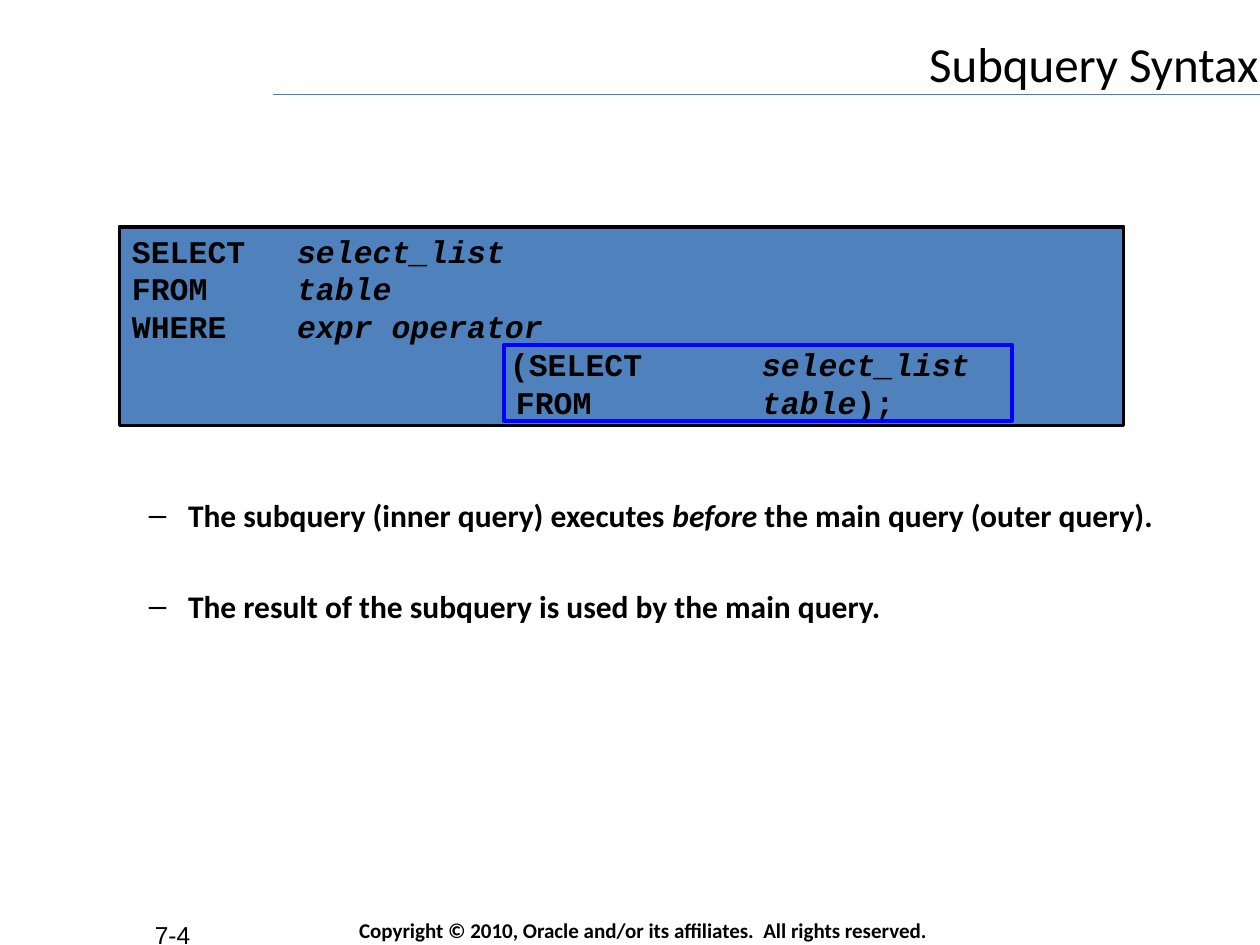
from lxml import etree
from pptx import Presentation
from pptx import util as u
from pptx.dml.color import RGBColor
from pptx.enum import shapes, text
from pptx.oxml.ns import qn

COLORS = {"ink": "000000", "paper": "FFFFFF", "panel": "4F81BD",
          "rule": "4A7EBB", "highlight": "0000FF"}
CODE_TABS = (3.33, 7.62, 12.7)
INNER_FROM_TABS = (3.33, 7.74, 12.7)


class SlideBuilder:
    fonts = {
        "title": {"name": "Calibri", "size": u.Pt(28), "bold": False},
        "body": {"name": "Calibri", "size": u.Pt(18), "bold": True},
        "code": {"name": "Courier New", "size": u.Pt(18), "bold": True},
        "footer": {"name": "Calibri", "size": u.Pt(12), "bold": True},
        "number": {"name": "Arial", "size": u.Pt(14), "bold": False},
    }

    def __init__(self, presentation):
        self.slide = presentation.slides.add_slide(presentation.slide_layouts[1])

    def color(self, name):
        return RGBColor.from_string(COLORS[name])

    def apply(self, target, values):
        for name, value in values.items():
            setattr(target, name, value)

    def place(self, shape, left, top, width, height):
        self.apply(shape, {"left": u.Cm(left), "top": u.Cm(top),
                           "width": u.Cm(width), "height": u.Cm(height)})

    def frame(self, shape, margins=(0.25, 0.13), anchor="TOP", wrap=True):
        horizontal, vertical = (u.Cm(margin) for margin in margins)
        self.apply(shape.text_frame, {
            "margin_left": horizontal, "margin_right": horizontal,
            "margin_top": vertical, "margin_bottom": vertical,
            "auto_size": text.MSO_AUTO_SIZE.NONE, "word_wrap": wrap,
            "vertical_anchor": getattr(text.MSO_ANCHOR, anchor)})
        return shape.text_frame

    def paragraph(self, frame, index, runs, style, align="LEFT", before=0):
        """Write one paragraph; runs alternate between upright and italic."""
        paragraph = frame.add_paragraph() if index else frame.paragraphs[0]
        paragraph.alignment = getattr(text.PP_ALIGN, align)
        paragraph.space_before = u.Pt(before if index else 0)
        for position, words in enumerate(runs):
            run = paragraph.add_run()
            run.text = words
            self.apply(run.font, self.fonts[style])
            run.font.italic = position % 2 == 1
            run.font.color.rgb = self.color("ink")
        return paragraph

    def title(self, words, *box):
        shape = self.slide.shapes.title
        self.place(shape, *box)
        self.fill(shape, "paper")
        self.paragraph(self.frame(shape, (0.03, 0.03)), 0, [words], "title", "RIGHT")

    def bullets(self, items, *box):
        shape = self.slide.placeholders[1]
        self.place(shape, *box)
        self.fill(shape, "paper")
        frame = self.frame(shape, (0.03, 0.03))
        for index, runs in enumerate(items):
            paragraph = self.paragraph(frame, index, runs, "body", before=30.5)
            paragraph.level = 1
            properties = paragraph._p.get_or_add_pPr()
            properties.set("marL", str(u.Cm(2.06)))
            properties.set("indent", str(-u.Cm(0.79)))
            bullet_color = etree.SubElement(properties, qn("a:buClr"))
            etree.SubElement(bullet_color, qn("a:srgbClr"), val=COLORS["ink"])
            etree.SubElement(properties, qn("a:buChar"), char="–")

    def fill(self, shape, name):
        shape.fill.solid()
        shape.fill.fore_color.rgb = self.color(name)

    def rectangle(self, *box, line, fill=None):
        shape = self.slide.shapes.add_shape(
            shapes.MSO_SHAPE.RECTANGLE, *(u.Cm(length) for length in box))
        shape.shadow.inherit = False
        if fill:
            self.fill(shape, fill)
        else:
            shape.fill.background()
        shape.line.color.rgb = self.color(line)
        shape.line.width = u.Pt(2.25)
        return shape

    def code(self, lines, *box):
        shape = self.rectangle(*box, line="ink", fill="panel")
        frame = self.frame(shape, anchor="MIDDLE")
        for index, (tabs, *runs) in enumerate(lines):
            paragraph = self.paragraph(frame, index, runs, "code")
            tab_list = etree.SubElement(paragraph._p.get_or_add_pPr(), qn("a:tabLst"))
            for tab in tabs:
                etree.SubElement(tab_list, qn("a:tab"), pos=str(u.Cm(tab)), algn="l")

    def label(self, words, style, *box, align="LEFT", anchor="TOP", wrap=True):
        shape = self.slide.shapes.add_textbox(*(u.Cm(length) for length in box))
        frame = self.frame(shape, anchor=anchor, wrap=wrap)
        self.paragraph(frame, 0, [words], style, align)

    def rule(self, left, right, top):
        line = self.slide.shapes.add_connector(
            shapes.MSO_CONNECTOR.STRAIGHT, u.Cm(left), u.Cm(top), u.Cm(right), u.Cm(top))
        line.line.color.rgb = self.color("rule")
        line.line.width = u.Pt(0.75)
        etree.SubElement(line._element.spPr, qn("a:effectLst"))


def main():
    presentation = Presentation()
    presentation.slide_width, presentation.slide_height = u.Cm(25.4), u.Cm(19.05)
    builder = SlideBuilder(presentation)

    # Heading
    builder.title("Subquery Syntax", 3.81, 0.64, 21.59, 1.27)
    builder.rule(5.51, 25.4, 1.9)

    # Syntax panel with the inner query outlined
    builder.code([
        (CODE_TABS, "SELECT\t", "select_list"),
        (CODE_TABS, "FROM\t", "table"),
        (CODE_TABS, "WHERE\t", "expr operator"),
        (CODE_TABS, "\t\t(SELECT\t", "select_list"),
        (INNER_FROM_TABS, "\t\tFROM\t", "table", ");"),
    ], 2.41, 4.57, 20.24, 4.01)
    builder.rectangle(10.16, 6.96, 10.24, 1.52, line="highlight")

    # Explanation
    builder.bullets([
        ("The subquery (inner query) executes ", "before",
         " the main query (outer query)."),
        ("The result of the subquery is used by the main query.",),
    ], 1.7, 9.96, 22, 2.67)

    # Footer
    builder.label("7-4", "number", 0.84, 18.42, 5.28, 1.27, align="CENTER")
    builder.label("Copyright © 2010, Oracle and/or its affiliates.  All rights reserved.",
                  "footer", 6.99, 18.49, 11.95, 0.53, anchor="MIDDLE", wrap=False)

    presentation.save("out.pptx")


if __name__ == "__main__":
    main()
